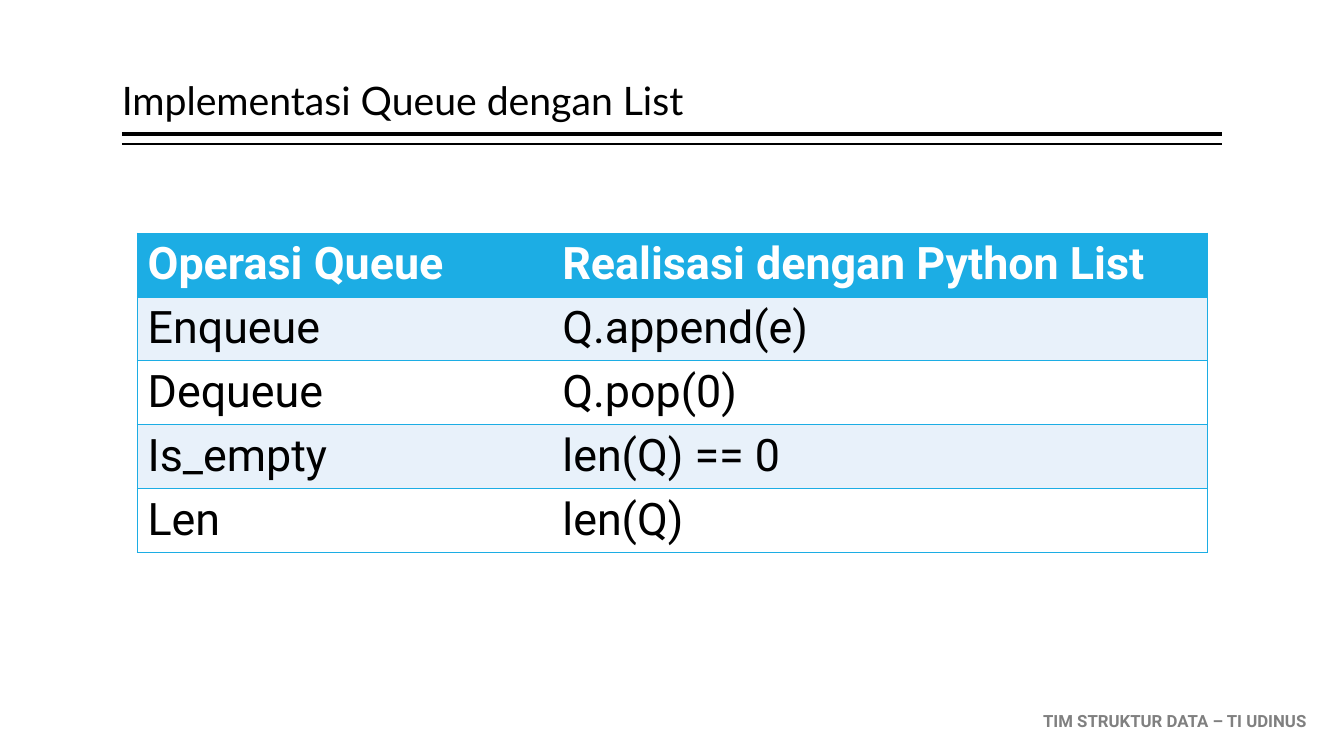
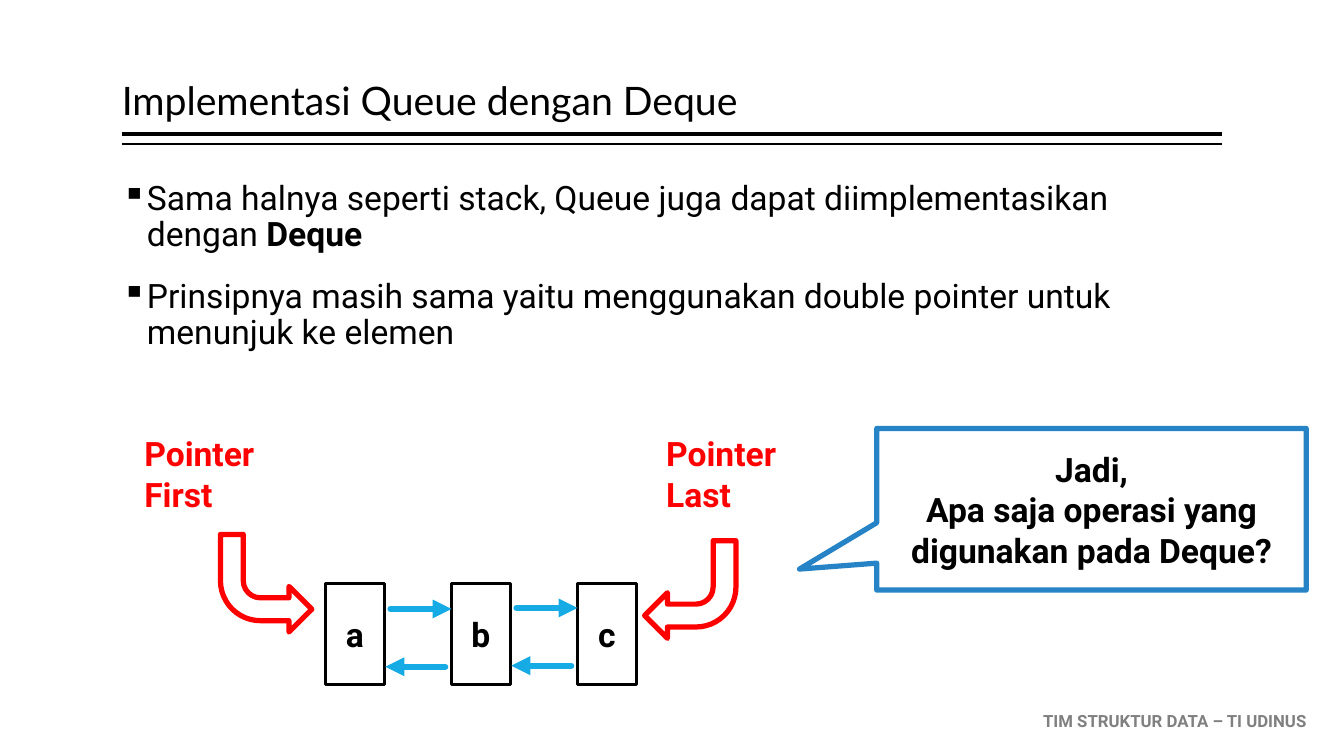
from lxml import etree
from pptx import Presentation
from pptx import util as u
from pptx.dml.color import RGBColor
from pptx.enum import shapes, text
from pptx.oxml import ns

PX = 9525  # EMU per pixel, 96 px to the inch
COLORS = {
    "black": "000000", "white": "FFFFFF", "gray": "808080", "red": "FF0000",
    "cyan": "1CADE4", "band": "E8F1FA", "arrow": "16ABE4", "blue": "2683C6",
}
LEFT, RIGHT = 116, 1164


def px(*lengths):
    return [length * PX for length in lengths]


def rgb(name):
    return RGBColor.from_string(COLORS[name])


def write_text(frame, paragraphs, size=24, font="Roboto", color="black", bold=False,
               align=text.PP_ALIGN.LEFT, anchor=text.MSO_ANCHOR.TOP, wrap=True,
               side_inset=None, spacing=None, gap=0, bullet=None):
    """Fill a frame; each paragraph is a string or a list of (text, bold) runs."""
    frame.word_wrap = wrap
    frame.vertical_anchor = anchor
    if side_inset is not None:
        frame.margin_left = frame.margin_right = side_inset * PX
    for index, runs in enumerate(paragraphs):
        paragraph = frame.paragraphs[0] if index == 0 else frame.add_paragraph()
        paragraph.alignment = align
        if spacing:
            paragraph.line_spacing = spacing
        if index and gap:
            paragraph.space_before = u.Pt(gap)
        if bullet:
            properties = paragraph._p.get_or_add_pPr()
            properties.set("marL", str(24 * PX))
            properties.set("indent", str(-24 * PX))
            etree.SubElement(properties, ns.qn("a:buChar")).set("char", bullet)
        for words, is_bold in [(runs, bold)] if isinstance(runs, str) else runs:
            run = paragraph.add_run()
            run.text = words
            run.font.size = u.Pt(size)
            run.font.name = font
            run.font.bold = is_bold
            run.font.color.rgb = rgb(color)


def add_line(slide, start, end, color, width, arrow=False):
    line = slide.shapes.add_connector(shapes.MSO_CONNECTOR.STRAIGHT, *px(*start, *end))
    line.line.color.rgb = rgb(color)
    line.line.width = u.Pt(width)
    if arrow:
        outline = line.line._get_or_add_ln()
        outline.set("cap", "rnd")
        etree.SubElement(outline, ns.qn("a:tailEnd")).set("type", "triangle")
    etree.SubElement(line._element.spPr, ns.qn("a:effectLst"))


presentation = Presentation()
presentation.slide_width, presentation.slide_height = px(1280, 720)

# Shared frame: title, double rule, footer
slides = []
for title in ("Implementasi Queue dengan List", "Implementasi Queue dengan Deque"):
    slide = presentation.slides.add_slide(presentation.slide_layouts[6])
    slides.append(slide)
    add_line(slide, (LEFT, 128), (RIGHT, 128), "black", 3)
    add_line(slide, (LEFT, 137), (RIGHT, 137), "black", 1)
    footer = slide.shapes.add_textbox(*px(984, 672, 286, 29))
    write_text(footer.text_frame, ["TIM STRUKTUR DATA – TI UDINUS"],
               size=12, color="gray", bold=True, wrap=False)
    title_box = slide.shapes.add_textbox(*px(LEFT, 8, RIGHT - LEFT, 115))
    write_text(title_box.text_frame, [title], size=28, font="Lato",
               anchor=text.MSO_ANCHOR.BOTTOM, side_inset=0, spacing=0.9)
table_slide, deque_slide = slides

# Slide 1: table of operations
ROWS = [
    ("Operasi Queue", "Realisasi dengan Python List"),
    ("Enqueue", "Q.append(e)"),
    ("Dequeue", "Q.pop(0)"),
    ("Is_empty", "len(Q) == 0"),
    ("Len", "len(Q)"),
]
table = table_slide.shapes.add_table(len(ROWS), 2, *px(131, 222, 1019, 295)).table
table.columns[0].width, table.columns[1].width = px(395, 624)
for row_index, row in enumerate(ROWS):
    header = row_index == 0
    fill = "cyan" if header else ("band" if row_index % 2 else "white")
    for column_index, words in enumerate(row):
        cell = table.cell(row_index, column_index)
        write_text(cell.text_frame, [words], size=32, bold=header,
                   color="white" if header else "black")
        inner_side = "lnR" if column_index == 0 else "lnL"
        for side in ("lnL", "lnR", "lnT", "lnB"):
            border = etree.SubElement(cell._tc.get_or_add_tcPr(), ns.qn("a:" + side))
            border.set("w", str(u.Pt(1)))
            if side == inner_side:
                etree.SubElement(border, ns.qn("a:noFill"))
            else:
                solid = etree.SubElement(border, ns.qn("a:solidFill"))
                etree.SubElement(solid, ns.qn("a:srgbClr")).set("val", COLORS["cyan"])
        cell.fill.solid()
        cell.fill.fore_color.rgb = rgb(fill)

# Slide 2: bullets
body = deque_slide.shapes.add_textbox(*px(LEFT, 168, RIGHT - LEFT, 480))
write_text(body.text_frame, [
    [("Sama halnya seperti stack, Queue juga dapat diimplementasikan dengan ", False),
     ("Deque", True)],
    "Prinsipnya masih sama yaitu menggunakan double pointer untuk menunjuk ke elemen",
], side_inset=0, spacing=0.9, gap=18, bullet="▪")

# Element boxes, bent pointer arrows and the question callout
NODE_LEFT, NODE_STEP, NODE_WIDTH = 310, 120, 56
SHAPE = shapes.MSO_SHAPE
diagram = [
    (SHAPE.RECTANGLE, (NODE_LEFT + index * NODE_STEP, 556, NODE_WIDTH, 96),
     "black", 2.25, [letter], "")
    for index, letter in enumerate("abc")
] + [
    (SHAPE.BENT_ARROW, (210, 509, 87, 93), "red", 3.75, [], "V"),
    (SHAPE.BENT_ARROW, (614, 515, 87, 93), "red", 3.75, [], "HV"),
    (SHAPE.RECTANGULAR_CALLOUT, (835, 408, 409, 154), "blue", 3.75,
     ["Jadi,", "Apa saja operasi yang digunakan pada Deque?"], ""),
]
for kind, box, color, width, paragraphs, flips in diagram:
    shape = deque_slide.shapes.add_shape(kind, *px(*box))
    shape.shadow.inherit = False
    shape.fill.solid()
    shape.fill.fore_color.rgb = rgb("white")
    shape.line.color.rgb = rgb(color)
    shape.line.width = u.Pt(width)
    for axis in flips:
        shape._element.spPr.xfrm.set("flip" + axis, "1")
    if kind == SHAPE.RECTANGULAR_CALLOUT:
        shape.adjustments[0], shape.adjustments[1] = -0.68, 0.37
    write_text(shape.text_frame, paragraphs, bold=True, align=text.PP_ALIGN.CENTER,
               anchor=text.MSO_ANCHOR.MIDDLE)

# Links between neighbouring elements, forward and back
for index in range(2):
    node_right = NODE_LEFT + index * NODE_STEP + NODE_WIDTH
    next_left = NODE_LEFT + (index + 1) * NODE_STEP
    forward_y, back_y = 580 - index, 635 - index
    add_line(deque_slide, (node_right + 6, forward_y), (next_left, forward_y),
             "arrow", 4.5, arrow=True)
    add_line(deque_slide, (next_left - 6, back_y), (node_right + 1, back_y),
             "arrow", 4.5, arrow=True)

# Pointer labels
for left, name in ((128, "First"), (625, "Last")):
    label = deque_slide.shapes.add_textbox(*px(left, 408, 131, 87))
    write_text(label.text_frame, ["Pointer", name], color="red", bold=True, wrap=False)

presentation.save("out.pptx")
